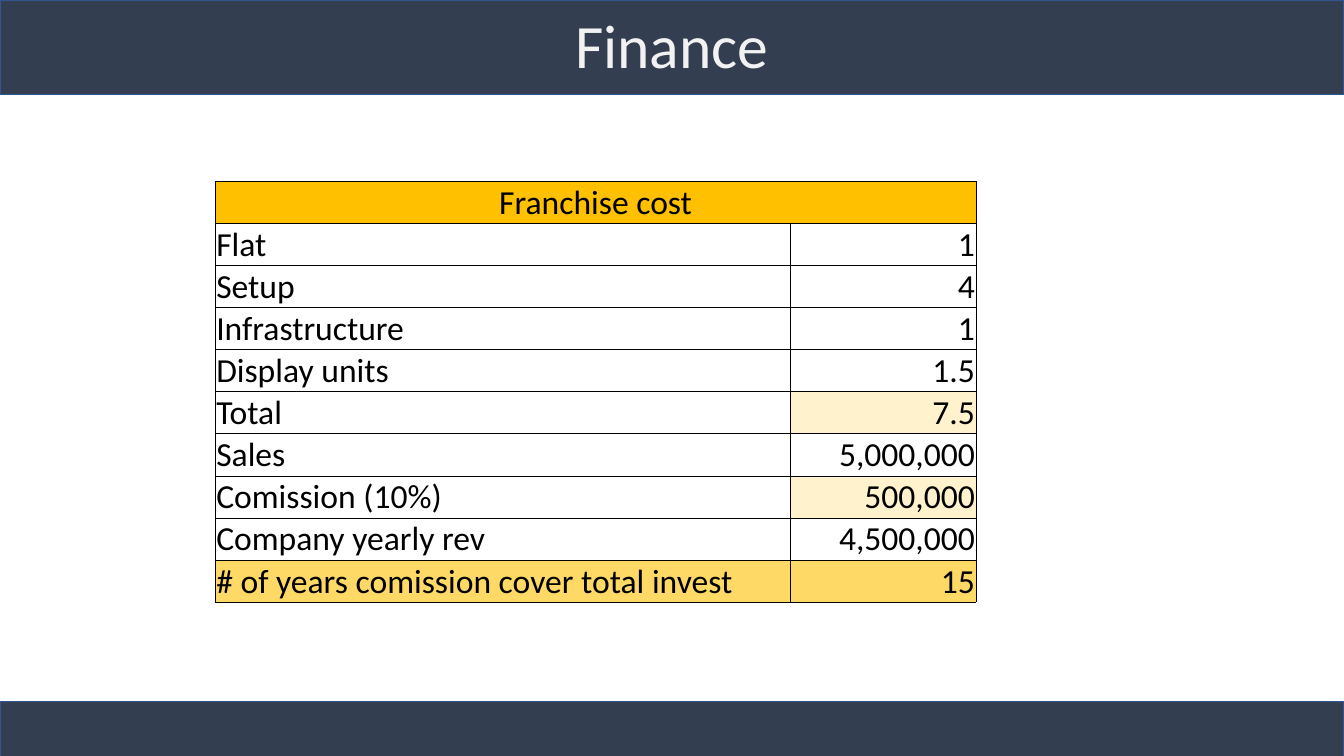
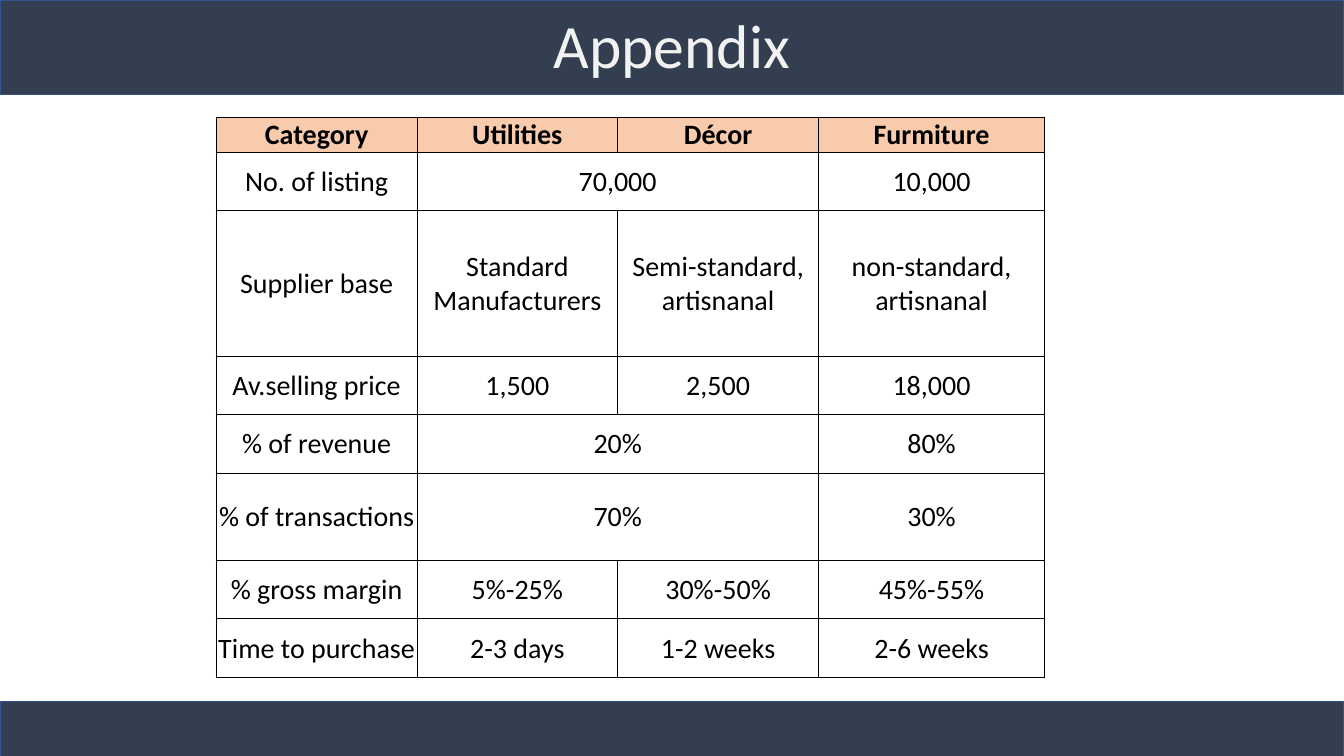
from pptx import Presentation
from pptx.dml.color import RGBColor
from pptx.enum.shapes import MSO_SHAPE as Preset
from pptx.enum.text import MSO_ANCHOR as Anchor, PP_ALIGN as Align
from pptx.oxml import parse_xml
from pptx.oxml.ns import nsdecls
from pptx.util import Cm, Pt

# Shared style
FONT = "Calibri"
SLIDE_W, SLIDE_H = 33.87, 19.05
BAND_FILL, BAND_LINE, TITLE_COLOR = "333F50", "325491", "F2F2F2"
HEADER_H, FOOTER_TOP, FOOTER_H = 2.39, 17.68, 1.6
BLACK, GOLD, LIGHT_GOLD, PALE_GOLD, PEACH = (
    "000000", "FFC000", "FFD966", "FFF2CC", "F8CBAD")
LEFT, CENTER, RIGHT = Align.LEFT, Align.CENTER, Align.RIGHT

# Table contents; None continues the cell on its left
FRANCHISE_COST = [
    ("Franchise cost", None),
    ("Flat", "1"),
    ("Setup", "4"),
    ("Infrastructure", "1"),
    ("Display units", "1.5"),
    ("Total", "7.5"),
    ("Sales", "5,000,000"),
    ("Comission (10%)", "500,000"),
    ("Company yearly rev", "4,500,000"),
    ("# of years comission cover total invest", "15"),
]
CATEGORIES = [
    ("Category", "Utilities", "Décor", "Furmiture"),
    ("No. of listing", "70,000", None, "10,000"),
    ("Supplier base", "Standard Manufacturers", "Semi-standard, artisnanal",
     "non-standard, artisnanal"),
    ("Av.selling price", "1,500", "2,500", "18,000"),
    ("% of revenue", "20%", None, "80%"),
    ("% of transactions", "70%", None, "30%"),
    ("% gross margin", "5%-25%", "30%-50%", "45%-55%"),
    ("Time to purchase", "2-3 days", "1-2 weeks", "2-6 weeks"),
]


def rgb(color):
    return RGBColor.from_string(color)


def style_paragraph(paragraph, size, color, align, bold=False):
    paragraph.alignment = align
    for run in paragraph.runs:
        font = run.font
        font.name, font.size, font.bold = FONT, Pt(size), bold
        font.color.rgb = rgb(color)


def add_band(slide, top, height):
    band = slide.shapes.add_shape(
        Preset.RECTANGLE, 0, Cm(top), Cm(SLIDE_W), Cm(height))
    band.shadow.inherit = False
    band.fill.solid()
    band.fill.fore_color.rgb = rgb(BAND_FILL)
    band.line.color.rgb = rgb(BAND_LINE)
    band.line.width = Pt(1)


def add_title(slide, title):
    frame = slide.shapes.add_textbox(
        0, Cm(0.05), Cm(SLIDE_W), Cm(HEADER_H - 0.05)).text_frame
    frame.word_wrap = True
    frame.vertical_anchor = Anchor.MIDDLE
    frame.text = title
    heading = frame.paragraphs[0]
    heading.line_spacing = 0.9
    style_paragraph(heading, 44, TITLE_COLOR, CENTER)


def add_titled_slide(deck, title):
    slide = deck.slides.add_slide(deck.slide_layouts[6])
    add_band(slide, FOOTER_TOP, FOOTER_H)
    add_band(slide, 0, HEADER_H)
    add_title(slide, title)
    return slide


def add_borders(cell):
    # Border elements come before the fill inside the cell properties
    properties = cell._tc.get_or_add_tcPr()
    for position, side in enumerate("LRTB"):
        properties.insert(position, parse_xml(
            f'<a:ln{side} {nsdecls("a")} w="{Pt(0.5)}"><a:solidFill>'
            f'<a:srgbClr val="{BLACK}"/></a:solidFill></a:ln{side}>'))


def style_cell(cell, fill, anchor):
    cell.margin_left = cell.margin_right = cell.margin_top = Cm(0.03)
    cell.margin_bottom = 0
    cell.vertical_anchor = anchor
    if fill:
        cell.fill.solid()
        cell.fill.fore_color.rgb = rgb(fill)
    else:
        cell.fill.background()
    add_borders(cell)


def add_grid(slide, rows, left, top, widths, heights, size, anchor,
             aligns, fills, bold_header=False):
    """Fills are keyed by (row, column); aligns go by column."""
    table = slide.shapes.add_table(
        len(rows), len(widths), Cm(left), Cm(top),
        Cm(sum(widths)), Cm(sum(heights))).table
    table.first_row = table.horz_banding = False
    for column, width in zip(table.columns, widths):
        column.width = Cm(width)
    for line, height in zip(table.rows, heights):
        line.height = Cm(height)
    for r, row in enumerate(rows):
        for c, text in enumerate(row):
            cell = table.cell(r, c)
            style_cell(cell, fills.get((r, c)), anchor)
            if text is None:
                table.cell(r, c - 1).merge(cell)
                table.cell(r, c - 1).text_frame.paragraphs[0].alignment = CENTER
                continue
            cell.text_frame.text = text
            style_paragraph(cell.text_frame.paragraphs[0], size, BLACK,
                            aligns[c], bold_header and r == 0)


def add_finance(deck):
    slide = add_titled_slide(deck, "Finance")
    last = len(FRANCHISE_COST) - 1
    fills = {(0, 0): GOLD, (0, 1): GOLD, (5, 1): PALE_GOLD, (7, 1): PALE_GOLD,
             (last, 0): LIGHT_GOLD, (last, 1): LIGHT_GOLD}
    add_grid(slide, FRANCHISE_COST, 5.42, 4.57, [14.5, 4.68],
             [1.06] * len(FRANCHISE_COST), 24, Anchor.BOTTOM,
             [LEFT, RIGHT], fills)


def add_appendix(deck):
    slide = add_titled_slide(deck, "Appendix")
    single = 1.47
    heights = [0.88] + [single * n for n in (1, 2.5, 1, 1, 1.5, 1, 1)]
    fills = {(0, c): PEACH for c in range(4)}
    add_grid(slide, CATEGORIES, 5.45, 2.95, [5.06] * 3 + [5.7], heights,
             20, Anchor.MIDDLE, [CENTER] * 4, fills, bold_header=True)


def main():
    deck = Presentation()
    deck.slide_width, deck.slide_height = Cm(SLIDE_W), Cm(SLIDE_H)
    add_finance(deck)
    add_appendix(deck)
    deck.save("out.pptx")


if __name__ == "__main__":
    main()
